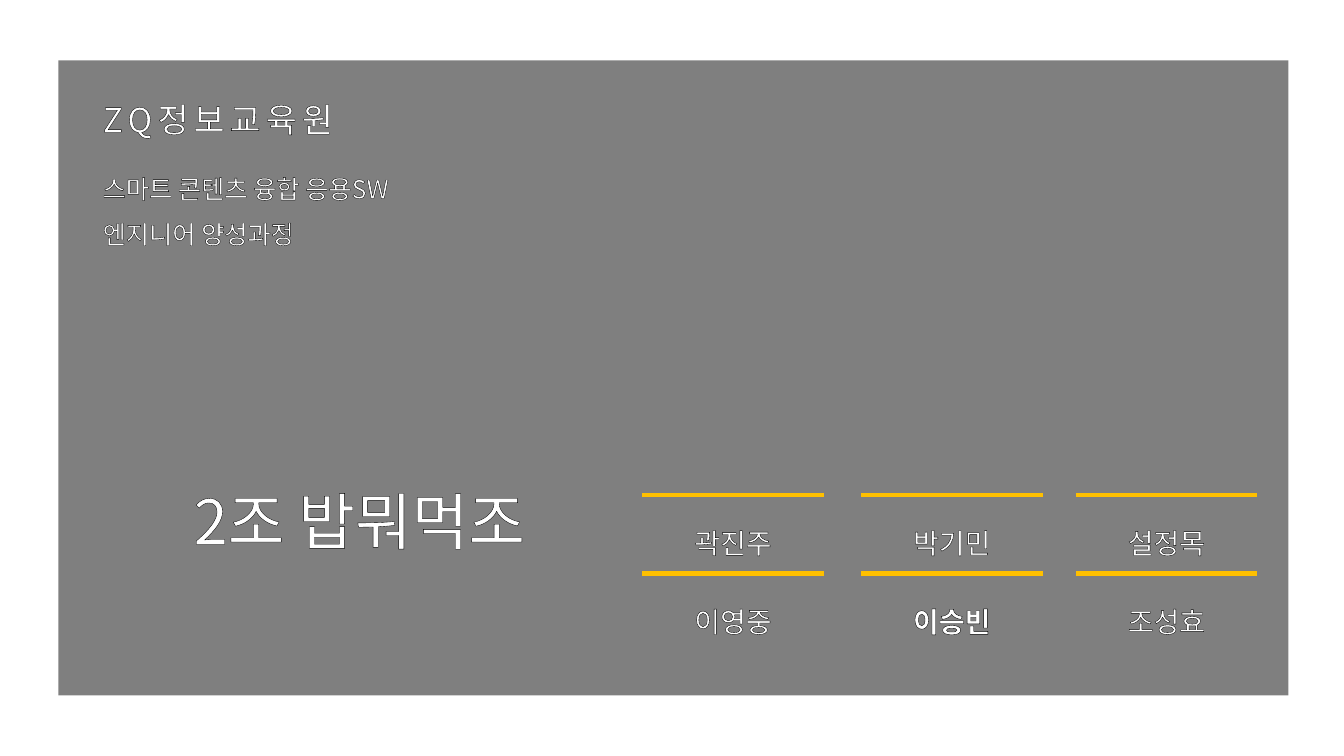
"""Build the team title slide with its course name and six members."""
from lxml.etree import SubElement
from pptx import Presentation
from pptx.dml.color import RGBColor
from pptx.enum.shapes import MSO_CONNECTOR, MSO_SHAPE
from pptx.enum.text import MSO_AUTO_SIZE, PP_ALIGN
from pptx.oxml.ns import qn
from pptx.util import Inches, Pt

FONT = "Noto Sans CJK KR"


def paint(fill, color):
    fill.solid()
    fill.fore_color.rgb = RGBColor.from_string(color)


def add_text(page, area, text, size, align=PP_ALIGN.LEFT, line_spacing=1.5,
             bold=False, tracking=0, outline=0.75):
    box = page.shapes.add_textbox(*map(Inches, area))
    frame = box.text_frame
    frame.word_wrap = True
    frame.auto_size = MSO_AUTO_SIZE.SHAPE_TO_FIT_TEXT
    para = frame.paragraphs[0]
    para.alignment = align
    para.line_spacing = line_spacing
    span = para.add_run()
    span.text = text
    for name, value in {"name": FONT, "size": Pt(size), "bold": bold}.items():
        setattr(span.font, name, value)
    paint(span.font.fill, "FFFFFF")
    properties = span.font._element
    properties.set("spc", str(round(tracking * 100)))
    SubElement(properties, qn("a:ea"), typeface=FONT)
    border = SubElement(properties, qn("a:ln"), w=str(Pt(outline)))
    border_fill = SubElement(border, qn("a:solidFill"))
    SubElement(border_fill, qn("a:srgbClr"), val="000000")
    properties.insert(0, border)


deck = Presentation()
deck.slide_width = Inches(13.33)
deck.slide_height = Inches(7.5)
page = deck.slides.add_slide(deck.slide_layouts[6])
paint(page.background.fill, "FFFFFF")

panel = page.shapes.add_shape(
    MSO_SHAPE.RECTANGLE, Inches(0.58), Inches(0.6), Inches(12.2), Inches(6.3))
panel.shadow.inherit = False
panel.line.fill.background()
paint(panel.fill, "000000")
panel_color = panel.fill._xPr.find(qn("a:solidFill")).find(qn("a:srgbClr"))
SubElement(panel_color, qn("a:alpha"), val="50000")

add_text(page, (0.92, 0.73, 2.68, 0.66), "ZQ정보교육원", 24, tracking=3.7)
add_text(page, (0.92, 1.52, 3.25, 0.97), "스마트 콘텐츠 융합 응용SW엔지니어 양성과정", 18)
add_text(page, (1.37, 4.74, 4.39, 0.84), "2조 밥뭐먹조", 44,
         align=PP_ALIGN.CENTER, line_spacing=1.0, outline=1.5)

member_rows = [("곽진주", "박기민", "설정목"), ("이영중", "이승빈", "조성효")]
column_lefts = (6.37, 8.54, 10.67)
rule_width = 1.8
for row, members in enumerate(member_rows):
    top = 4.91 + row * 0.78
    for left, member in zip(column_lefts, members):
        rule = page.shapes.add_connector(
            MSO_CONNECTOR.STRAIGHT, Inches(left), Inches(top),
            Inches(left + rule_width), Inches(top))
        rule.line.width = Pt(3)
        paint(rule.line.fill, "FFC000")
        SubElement(rule._element.spPr, qn("a:effectLst"))
        add_text(page, (left + 0.25, top + 0.09, 1.3, 0.56), member, 20,
                 align=PP_ALIGN.CENTER, bold=member == "이승빈")

deck.save("out.pptx")
